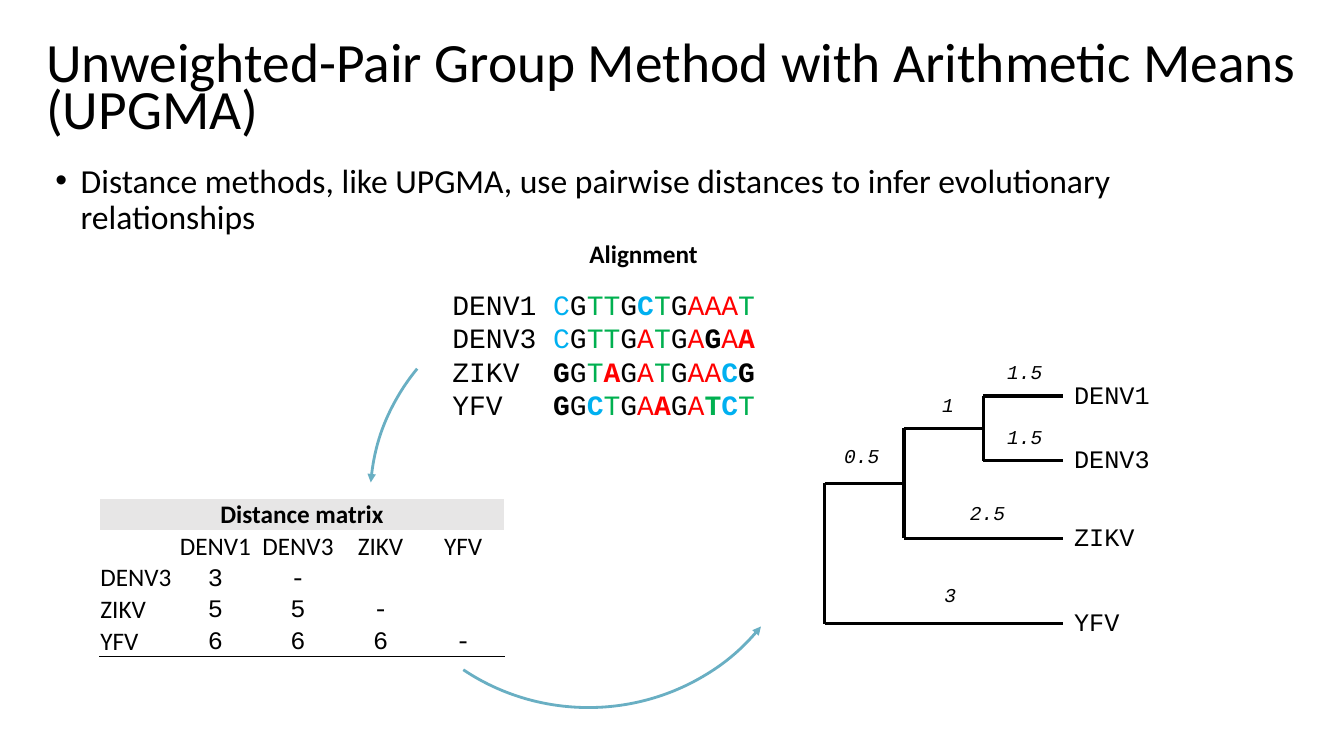
from collections import Counter
from dataclasses import dataclass
from itertools import groupby

from lxml import etree
from pptx import Presentation
from pptx.dml.color import RGBColor
from pptx.enum.shapes import MSO_CONNECTOR, MSO_SHAPE
from pptx.enum.text import MSO_ANCHOR, MSO_AUTO_SIZE, PP_ALIGN
from pptx.oxml.ns import qn
from pptx.util import Cm, Pt

LEFT, CENTER = PP_ALIGN.LEFT, PP_ALIGN.CENTER
TOP, MIDDLE, BOTTOM = MSO_ANCHOR.TOP, MSO_ANCHOR.MIDDLE, MSO_ANCHOR.BOTTOM
STRAIGHT = MSO_CONNECTOR.STRAIGHT
ARC = MSO_SHAPE.ARC
NO_FIT = MSO_AUTO_SIZE.NONE

TITLE = "Unweighted-Pair Group Method with Arithmetic Means (UPGMA)"
POINT = ("Distance methods, like UPGMA, use pairwise distances "
         "to infer evolutionary relationships")
HEADING = "Alignment"
GENES = {
    "DENV1": "CGTTGCTGAAAT",
    "DENV3": "CGTTGATGAGAA",
    "ZIKV": "GGTAGATGAACG",
    "YFV": "GGCTGAAGATCT",
}
MATRIX = [
    ["Distance matrix", "", "", "", ""],
    ["", "DENV1", "DENV3", "ZIKV", "YFV"],
    ["DENV3", "3", "-", "", ""],
    ["ZIKV", "5", "5", "-", ""],
    ["YFV", "6", "6", "6", "-"],
]
LEAVES = {"DENV1": 9.98, "DENV3": 11.61, "ZIKV": 13.56, "YFV": 15.72}
NODES = [("pair", 2, "DENV1", "DENV3"),
         ("trio", 1, "pair", "ZIKV"),
         ("root", 0, "trio", "YFV")]
LENGTHS = [("0.5", 21.72, 11.48), ("1.5", 25.83, 9.37), ("1.5", 25.83, 11),
           ("1", 23.89, 10.19), ("2.5", 24.89, 12.93), ("3", 23.95, 14.99)]
ARCS = [(193.72, 213.48), (32.32, 86.05)]


@dataclass(frozen=True)
class Theme:
    sans: str = "Calibri"
    mono: str = "Courier New"
    black: str = "000000"
    white: str = "FFFFFF"
    band: str = "E7E6E6"
    arrow: str = "69AFC3"
    title: float = 39.6
    body: float = 24
    code: float = 20
    label: float = 18
    small: float = 14


THEME = Theme()
BASES = {"A": "FF0000", "C": "00B0F0", "G": THEME.black, "T": "00B050"}


def rgb(code):
    return RGBColor.from_string(code)


def style(font, face, size, bold=False, italic=False):
    font.name, font.size = face, Pt(size)
    font.bold, font.italic = bold, italic
    font.color.rgb = rgb(THEME.black)


def place(shape, left, top, width, height):
    shape.left, shape.top = Cm(left), Cm(top)
    shape.width, shape.height = Cm(width), Cm(height)


def fill_holder(shape, text, box, size, space):
    place(shape, *box)
    frame = shape.text_frame
    frame.auto_size, frame.vertical_anchor = NO_FIT, TOP
    frame.text = text
    para = frame.paragraphs[0]
    para.alignment, para.line_spacing = LEFT, space
    para.space_before = Pt(0)
    style(para.font, THEME.sans, size)
    return para


def add_text(shapes, text, box, face, size, align=LEFT, **look):
    shape = shapes.add_textbox(*map(Cm, box))
    frame = shape.text_frame
    frame.word_wrap, frame.vertical_anchor = True, MIDDLE
    para = frame.paragraphs[0]
    para.text, para.alignment = text, align
    style(para.font, face, size, **look)
    return shape


def add_line(shapes, *ends):
    line = shapes.add_connector(STRAIGHT, *map(Cm, ends))
    line.line.color.rgb, line.line.width = rgb(THEME.black), Pt(2.25)
    etree.SubElement(line._element.spPr, qn("a:effectLst"))


def add_genes(shapes):
    frame = shapes.add_textbox(Cm(11.15), Cm(7.11), Cm(8.61), Cm(3.68)).text_frame
    frame.word_wrap = True
    common = [Counter(col).most_common(1)[0][0] for col in zip(*GENES.values())]
    for row, (name, gene) in enumerate(GENES.items()):
        para = frame.add_paragraph() if row else frame.paragraphs[0]
        style(para.font, THEME.mono, THEME.code)
        para.add_run().text = name + "\t"
        pairs = [(base, base != usual) for base, usual in zip(gene, common)]
        for (base, odd), group in groupby(pairs):
            run = para.add_run()
            run.text = base * len(list(group))
            run.font.bold = odd
            run.font.color.rgb = rgb(BASES[base])


def rule_below(cell):
    props = cell._tc.get_or_add_tcPr()
    edge = etree.Element(qn("a:lnB"), w=str(Pt(1)))
    fill = etree.SubElement(edge, qn("a:solidFill"))
    etree.SubElement(fill, qn("a:srgbClr"), val=THEME.black)
    props.insert(0, edge)


def add_matrix(shapes):
    rows, cols = len(MATRIX), len(MATRIX[0])
    table = shapes.add_table(rows, cols, Cm(2.51), Cm(12.57), Cm(10.2), Cm(3.95)).table
    table.first_row = table.horz_banding = False
    for col in range(cols):
        table.columns[col].width = Cm(2.08 if col else 1.88)
    for row, words in enumerate(MATRIX):
        table.rows[row].height = Cm(0.79)
        for col, word in enumerate(words):
            cell = table.cell(row, col)
            cell.margin_left = cell.margin_right = cell.margin_top = Cm(0.02)
            cell.margin_bottom = 0
            cell.vertical_anchor = BOTTOM
            if row:
                cell.fill.background()
            else:
                cell.fill.solid()
                cell.fill.fore_color.rgb = rgb(THEME.band)
            para = cell.text_frame.paragraphs[0]
            para.text = word
            para.alignment = LEFT if row > 1 and not col else CENTER
            face = THEME.mono if row > 1 and col else THEME.sans
            style(para.font, face, THEME.label, bold=not row)
            if row == rows - 1:
                rule_below(cell)
    table.cell(0, 0).merge(table.cell(0, cols - 1))


def add_tree(shapes):
    start, step = 20.78, 2
    spots = {name: (start + 3 * step, y) for name, y in LEAVES.items()}
    for name, level, *kids in NODES:
        x, y = start + level * step, sum(spots[kid][1] for kid in kids) / 2
        spots[name] = x, y
        for kid in kids:
            far, high = spots[kid]
            add_line(shapes, x, high, far, high)
            add_line(shapes, x, high, x, y)
    for name, y in LEAVES.items():
        add_text(shapes, name, (26.82, y - 0.76, 2.67, 1.42), THEME.mono, THEME.label)
    for text, x, y in LENGTHS:
        add_text(shapes, text, (x - 0.96, y - 0.58, 1.92, 1.16),
                 THEME.mono, THEME.small, CENTER, italic=True)


def add_arc(shapes, first, last):
    arc = shapes.add_shape(ARC, Cm(9.33), Cm(7.29), Cm(11), Cm(10.54))
    arc.shadow.inherit = False
    arc.adjustments[0], arc.adjustments[1] = first, last
    arc.fill.background()
    arc.line.color.rgb, arc.line.width = rgb(THEME.arrow), Pt(2)
    arc._element.spPr.xfrm.set("flipH", "1")
    etree.SubElement(arc.line._get_or_add_ln(), qn("a:tailEnd"), type="triangle")


def main():
    deck = Presentation()
    deck.slide_width, deck.slide_height = Cm(33.87), Cm(19.05)
    slide = deck.slides.add_slide(deck.slide_layouts[1])
    shapes = slide.shapes
    fill_holder(shapes.title, TITLE, (0.91, 1.02, 32.13, 2.95), THEME.title, 0.7)
    para = fill_holder(slide.placeholders[1], POINT, (1.14, 4.01, 31.55, 1.98),
                       THEME.body, 0.9)
    props = para._p.get_or_add_pPr()
    props.set("marL", str(Cm(0.64)))
    props.set("indent", str(Cm(-0.64)))
    add_matrix(shapes)
    head = add_text(shapes, HEADING, (13.87, 5.87, 4.7, 1.02),
                    THEME.sans, THEME.label, CENTER, bold=True)
    head.fill.solid()
    head.fill.fore_color.rgb = rgb(THEME.white)
    add_genes(shapes)
    add_tree(shapes.add_group_shape().shapes)
    for ends in ARCS:
        add_arc(shapes, *ends)
    deck.save("out.pptx")


if __name__ == "__main__":
    main()
